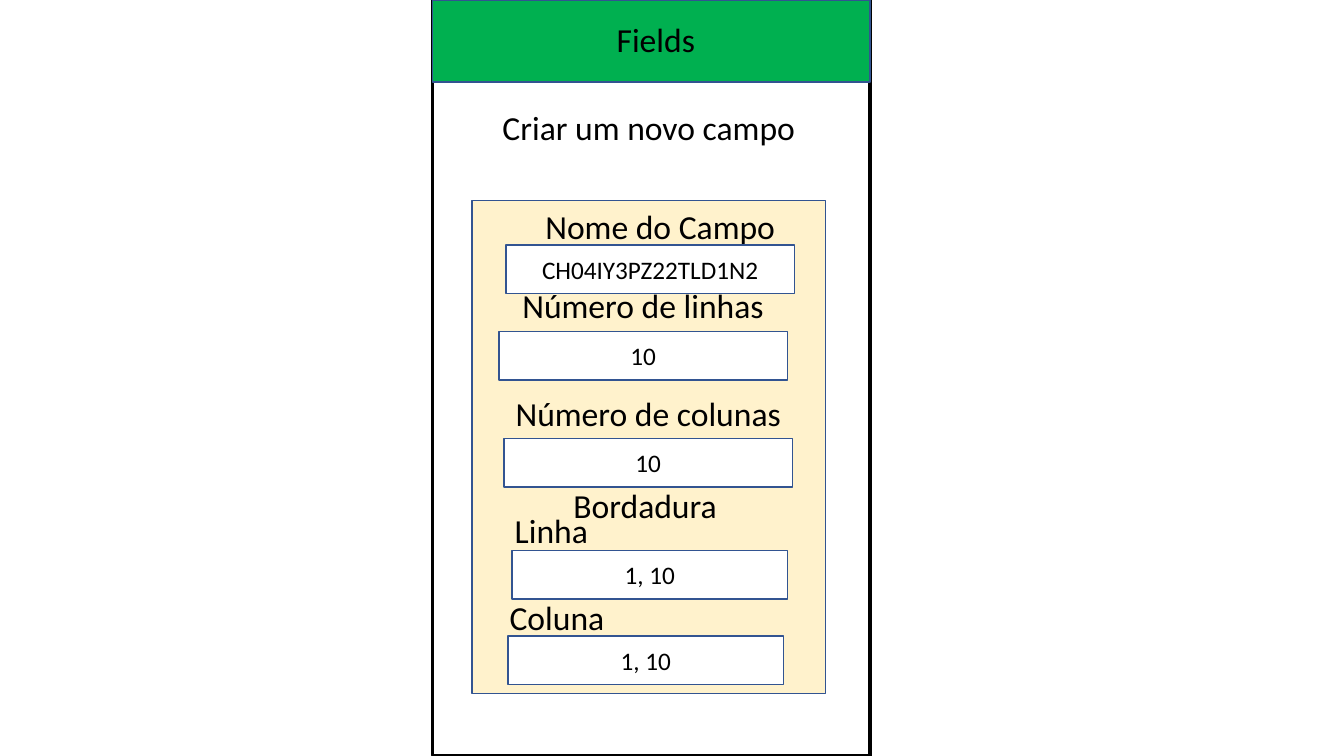
from pptx import Presentation
from pptx import util as u
from pptx.dml.color import RGBColor
from pptx.enum import shapes, text

BLUE, BLACK, WHITE = "325491", "000000", "FFFFFF"
LABEL_H, FIELD_H = 36, 34.7


def color(code):
    return RGBColor.from_string(code)


def write(shape, words, size):
    para = shape.text_frame.paragraphs[0]
    para.alignment = text.PP_ALIGN.CENTER
    run = para.add_run()
    run.text = words
    run.font.name = "Calibri"
    run.font.size = u.Pt(size)
    run.font.color.rgb = color(BLACK)


def panel(slide, x, y, w, h, fill, line=BLUE, width=1):
    shape = slide.shapes.add_shape(
        shapes.MSO_SHAPE.RECTANGLE, u.Pt(x), u.Pt(y), u.Pt(w), u.Pt(h))
    shape.shadow.inherit = False
    shape.fill.solid()
    shape.fill.fore_color.rgb = color(fill)
    shape.line.color.rgb = color(line)
    shape.line.width = u.Pt(width)
    return shape


def label(slide, x, y, w, words):
    box = slide.shapes.add_textbox(u.Pt(x), u.Pt(y), u.Pt(w), u.Pt(LABEL_H))
    box.text_frame.word_wrap = False
    box.text_frame.auto_size = text.MSO_AUTO_SIZE.SHAPE_TO_FIT_TEXT
    write(box, words, 24)


def field(slide, x, y, w, words):
    box = panel(slide, x, y, w, FIELD_H, WHITE)
    box.text_frame.vertical_anchor = text.MSO_ANCHOR.MIDDLE
    write(box, words, 18)


def header(slide, x, y, w):
    panel(slide, x, y, w, 58.5, "00B050")
    label(slide, x + 123.8, y + 10.3, 71.3, "Fields")


def form(slide, x, y, w, h):
    panel(slide, x, y, w, h, "FFF2CC")
    rows = [
        ("Número de linhas", 28, 57, 188.6, "10", 19.4, 93.6, 206),
        ("Número de colunas", 23, 133.9, 206, "10", 23, 170, 206),
        ("Linha", 23, 217.4, 67.7, "1, 10", 28.8, 249.8, 196.6),
        ("Coluna", 19.4, 279.3, 82.8, "1, 10", 26, 311, 196.6),
        ("Nome do Campo", 44.6, 0, 180, "CH04IY3PZ22TLD1N2", 24.4, 31.7, 206),
    ]
    label(slide, x + 64.8, y + 199.4, 118, "Bordadura")
    for name, left, top, wide, value, dx, dy, span in rows:
        label(slide, x + left, y + top, wide, name)
        field(slide, x + dx, y + dy, span, value)


def phone(slide, x, y, w, h):
    panel(slide, x, y, w, h, WHITE, BLACK, 2.25)
    header(slide, x, y, w)
    label(slide, x + 41.7, y + 72.7, 225.4, "Criar um novo campo")
    form(slide, x + 28, y + 143.3, 252.7, 352)


def main():
    deck = Presentation()
    deck.slide_width, deck.slide_height = u.Pt(960), u.Pt(540)
    slide = deck.slides.add_slide(deck.slide_layouts[6])
    phone(slide, 309, 0, 312.5, 540)
    deck.save("out.pptx")


if __name__ == "__main__":
    main()
